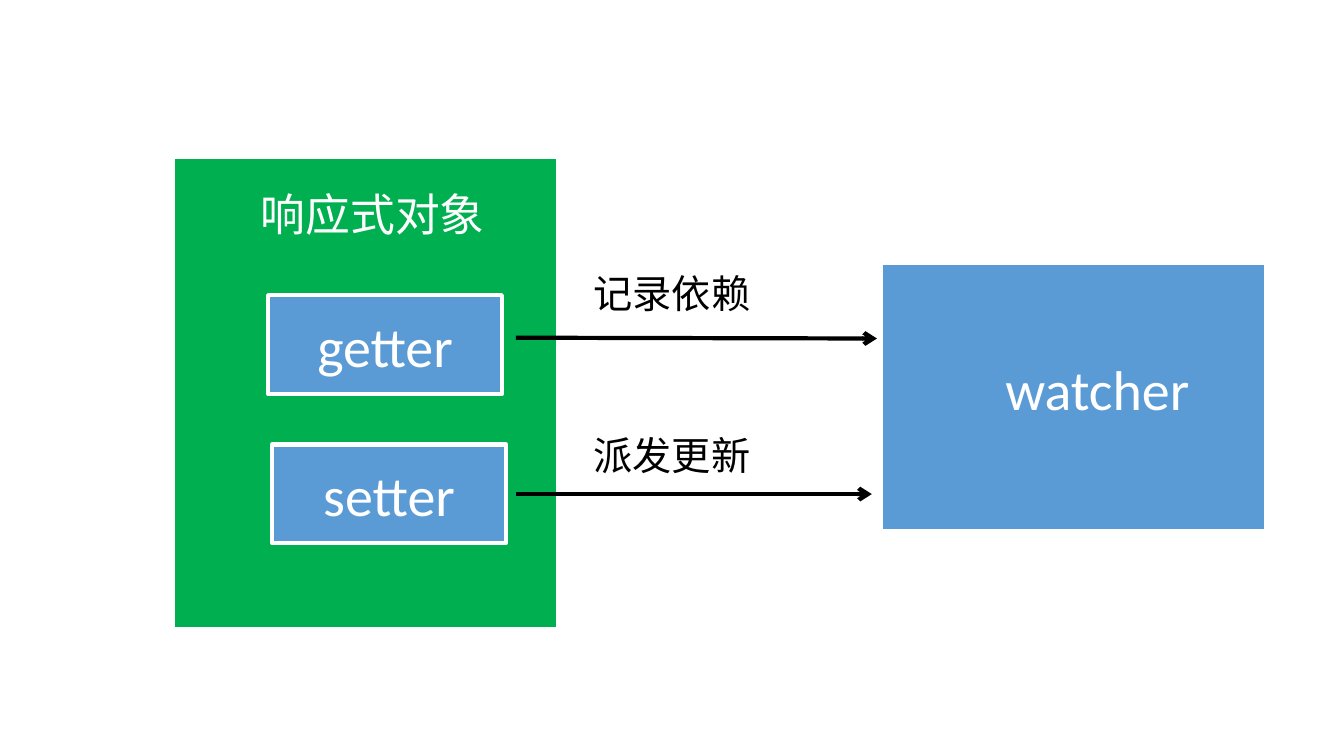
from lxml import etree
from pptx import Presentation
from pptx.dml.color import RGBColor
from pptx.enum import shapes, text
from pptx.oxml import ns
from pptx.util import Cm, Pt

WHITE = RGBColor(0xFF, 0xFF, 0xFF)
BLACK = RGBColor(0x00, 0x00, 0x00)
GREEN = RGBColor(0x00, 0xB0, 0x50)
BLUE = RGBColor(0x5B, 0x9B, 0xD5)

PANEL_WIDTH = 9.65
NAME_SIZE = (5.89, 2.49)
ARROW_START = 13.0
LABEL_LEFT = 14.71

PANELS = [
    ((4.39, 3.99, PANEL_WIDTH, 11.84), GREEN),
    ((22.23, 6.65, PANEL_WIDTH, 6.71), BLUE),
]
ACCESSORS = [("getter", (6.76, 7.44)), ("setter", (6.86, 11.2))]
WATCHER = ("watcher", (24.71, 8.53))
LABELS = [
    ("响应式对象", (6.32, 4.57, 6.43, 1.63), 32, WHITE),
    ("记录依赖", (LABEL_LEFT, 6.65, 5.28, 1.45), 28, BLACK),
    ("派发更新", (LABEL_LEFT, 10.74, 4.47, 1.45), 28, BLACK),
]
ARROWS = [(8.51, 22.1, 8.53), (12.45, 21.97, 12.45)]

NAME_FORMAT = {"size": Pt(40), "name": "Calibri"}


def lengths(values):
    return [Cm(value) for value in values]


def write(box, words, color, font_format, centred):
    frame = box.text_frame
    frame.word_wrap = True
    para = frame.paragraphs[0]
    if centred:
        frame.vertical_anchor = text.MSO_ANCHOR.MIDDLE
        para.alignment = text.PP_ALIGN.CENTER
    span = para.add_run()
    span.text = words
    for key, value in font_format.items():
        setattr(span.font, key, value)
    span.font.color.rgb = color


def add_box(page, place, fill, line_width):
    box = page.shapes.add_shape(shapes.MSO_SHAPE.RECTANGLE, *lengths(place))
    box.shadow.inherit = False
    box.fill.solid()
    box.fill.fore_color.rgb = fill
    box.line.color.rgb = WHITE
    box.line.width = Pt(line_width)
    return box


def add_arrow(page, top, right, bottom):
    arrow = page.shapes.add_connector(
        shapes.MSO_CONNECTOR.STRAIGHT, *lengths((ARROW_START, top, right, bottom)))
    arrow.line.color.rgb = BLACK
    arrow.line.width = Pt(3)
    etree.SubElement(arrow.line._get_or_add_ln(), ns.qn("a:tailEnd"), type="arrow")
    etree.SubElement(arrow._element.spPr, ns.qn("a:effectLst"))


def main():
    deck = Presentation()
    deck.slide_width, deck.slide_height = lengths((33.87, 19.05))
    page = deck.slides.add_slide(deck.slide_layouts[6])

    for place, fill in PANELS:
        add_box(page, place, fill, 1)
    for words, corner in ACCESSORS:
        box = add_box(page, corner + NAME_SIZE, BLUE, 3)
        write(box, words, WHITE, NAME_FORMAT, True)
    for arrow in ARROWS:
        add_arrow(page, *arrow)
    for words, place, size, color in LABELS:
        box = page.shapes.add_textbox(*lengths(place))
        write(box, words, color, {**NAME_FORMAT, "size": Pt(size)}, False)

    words, corner = WATCHER
    box = page.shapes.add_textbox(*lengths(corner + NAME_SIZE))
    write(box, words, WHITE, NAME_FORMAT, True)
    deck.save("out.pptx")


if __name__ == "__main__":
    main()
